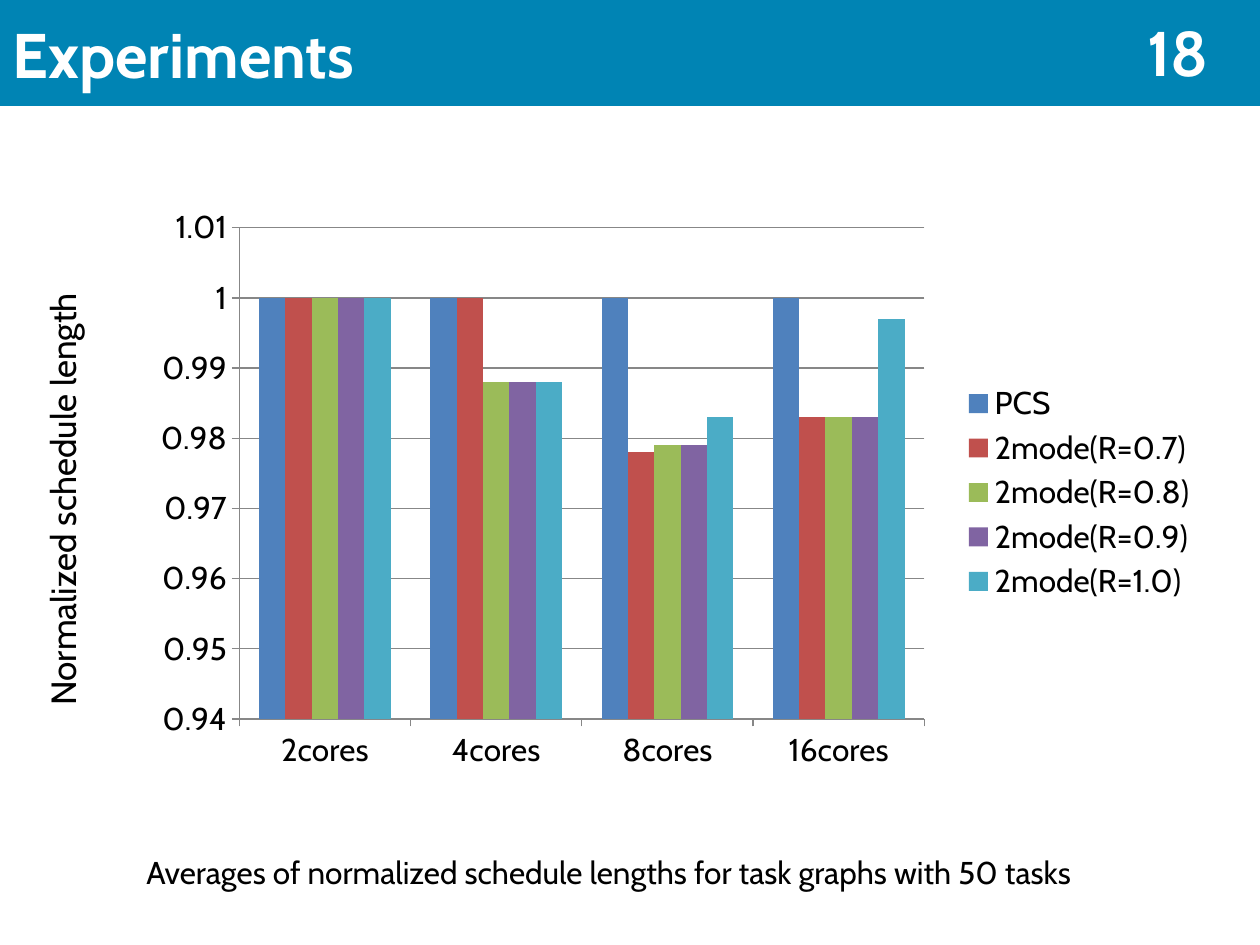
from dataclasses import dataclass

from lxml import etree
from pptx import Presentation
from pptx import util as u
from pptx.chart.data import CategoryChartData
from pptx.dml.color import RGBColor
from pptx.enum import chart as ch, text
from pptx.oxml.ns import qn

EMU_PER_PX = 914400 / 126
FONT = "Cabin"
BLACK, WHITE, BLUE, GREY = "000000", "FFFFFF", "0084B4", "878787"


@dataclass
class Box:
    left: int
    top: int
    width: int
    height: int

    def emu(self) -> list[int]:
        return [px(v) for v in (self.left, self.top, self.width, self.height)]


@dataclass
class Label:
    words: str
    box: Box
    size: int
    color: str = BLACK
    bold: bool = False
    align: text.PP_ALIGN = text.PP_ALIGN.LEFT
    anchor: text.MSO_ANCHOR = text.MSO_ANCHOR.TOP
    vert: str = "horz"


@dataclass
class Series:
    name: str
    values: tuple
    color: str


TITLE = Label("Experiments", Box(0, 0, 1260, 106), 36, WHITE, True,
              anchor=text.MSO_ANCHOR.MIDDLE)
LABELS = [
    Label("18", Box(927, 26, 294, 50), 36, WHITE, True,
          text.PP_ALIGN.RIGHT, text.MSO_ANCHOR.MIDDLE),
    Label("Averages of normalized schedule lengths for task graphs with 50 tasks",
          Box(134, 847, 1021, 50), 18),
    Label("Normalized schedule length", Box(35, 223, 68, 495), 20, vert="vert270"),
]
CORES = ["2cores", "4cores", "8cores", "16cores"]
SERIES = [
    Series("PCS", (1, 1, 1, 1), "4F81BD"),
    Series("2mode(R=0.7)", (1, 1, 0.978, 0.983), "C0504D"),
    Series("2mode(R=0.8)", (1, 0.988, 0.979, 0.983), "9BBB59"),
    Series("2mode(R=0.9)", (1, 0.988, 0.979, 0.983), "8064A2"),
    Series("2mode(R=1.0)", (1, 0.988, 0.983, 0.997), "4BACC6"),
]
PLOT = {"x": 0.15, "y": 0.055, "w": 0.6, "h": 0.826}


def px(value: int) -> int:
    return round(value * EMU_PER_PX)


def rgb(color: str) -> RGBColor:
    return RGBColor.from_string(color)


def style_font(font, size: int, color: str, bold: bool = False) -> None:
    font.name = FONT
    font.size = u.Pt(size)
    font.bold = bold
    font.color.rgb = rgb(color)


def write(sp, label: Label) -> None:
    sp.left, sp.top, sp.width, sp.height = label.box.emu()
    tf = sp.text_frame
    tf.text = label.words
    tf.word_wrap = True
    tf.auto_size = text.MSO_AUTO_SIZE.NONE
    tf.vertical_anchor = label.anchor
    tf._txBody.bodyPr.set("vert", label.vert)
    p = tf.paragraphs[0]
    p.alignment = label.align
    style_font(p.runs[0].font, label.size, label.color, label.bold)


def style_line(line) -> None:
    line.color.rgb = rgb(GREY)
    line.width = u.Pt(0.75)


def place_plot(chart) -> None:
    area = chart._chartSpace.chart.plotArea
    for old in area.findall(qn("c:layout")):
        area.remove(old)
    layout = etree.Element(qn("c:layout"))
    manual = etree.SubElement(layout, qn("c:manualLayout"))
    settings = {"layoutTarget": "inner", "xMode": "edge", "yMode": "edge", **PLOT}
    for tag, value in settings.items():
        etree.SubElement(manual, qn(f"c:{tag}")).set("val", str(value))
    area.insert(0, layout)


def add_schedule_chart(s, box: Box) -> None:
    data = CategoryChartData()
    data.categories = CORES
    for series in SERIES:
        data.add_series(series.name, series.values)
    chart = s.shapes.add_chart(
        ch.XL_CHART_TYPE.COLUMN_CLUSTERED, *box.emu(), data).chart
    style_font(chart.font, 18, BLACK)
    chart.has_title = False
    chart.has_legend = True
    chart.legend.position = ch.XL_LEGEND_POSITION.RIGHT
    chart.legend.include_in_layout = False

    plot = chart.plots[0]
    plot.gap_width = 150
    plot.overlap = 0
    plot.vary_by_categories = False
    for bars, series in zip(plot.series, SERIES):
        bars.format.fill.solid()
        bars.format.fill.fore_color.rgb = rgb(series.color)

    for axis in (chart.category_axis, chart.value_axis):
        axis.major_tick_mark = ch.XL_TICK_MARK.OUTSIDE
        axis.minor_tick_mark = ch.XL_TICK_MARK.NONE
        style_line(axis.format.line)
    values = chart.value_axis
    values.minimum_scale, values.maximum_scale = 0.94, 1.01
    values.major_unit = 0.01
    values.has_major_gridlines = True
    style_line(values.major_gridlines.format.line)
    values.tick_labels.number_format = "General"
    values.tick_labels.number_format_is_linked = False
    place_plot(chart)


def main() -> None:
    prs = Presentation()
    prs.slide_width, prs.slide_height = px(1260), px(945)
    s = prs.slides.add_slide(prs.slide_layouts[5])
    title = s.shapes.title
    write(title, TITLE)
    title.fill.solid()
    title.fill.fore_color.rgb = rgb(BLUE)
    add_schedule_chart(s, Box(68, 195, 1142, 595))
    for label in LABELS:
        write(s.shapes.add_textbox(*label.box.emu()), label)
    prs.save("out.pptx")


if __name__ == "__main__":
    main()
